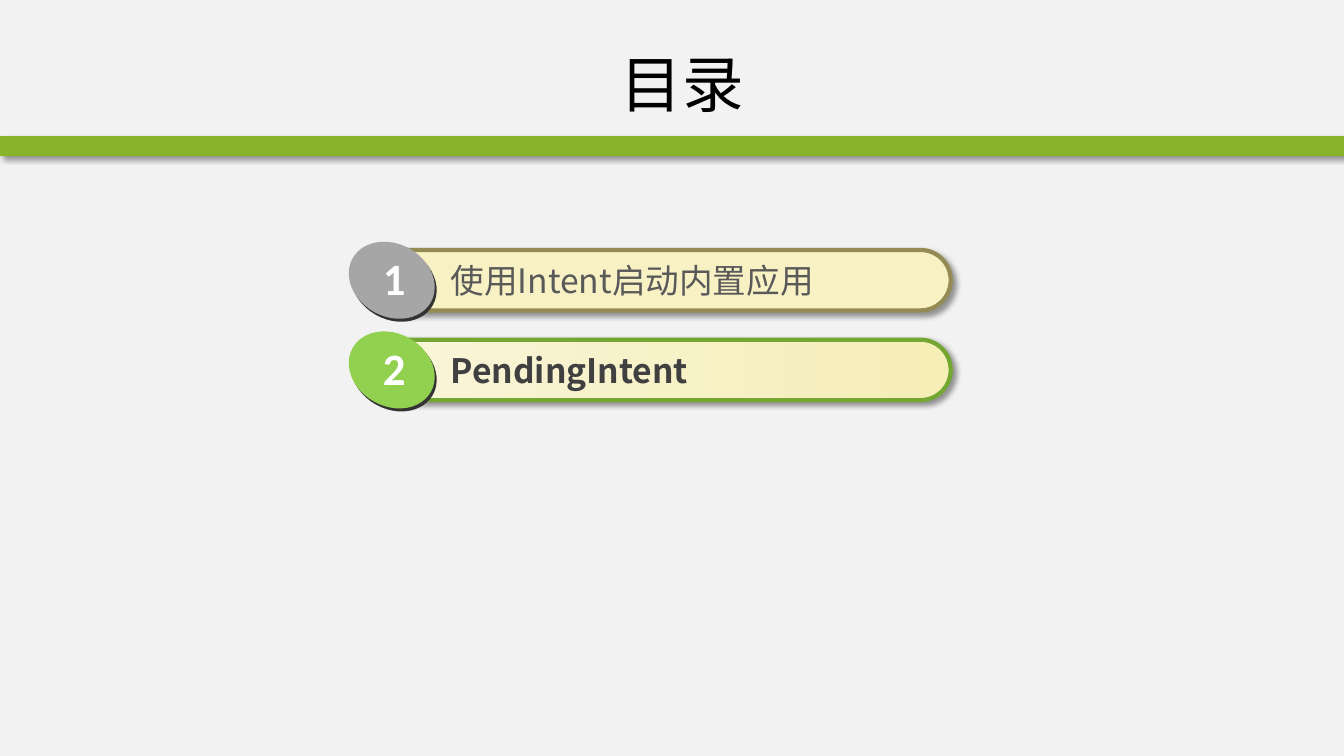
from lxml import etree
from pptx import Presentation
from pptx.dml.color import RGBColor
from pptx.enum.shapes import MSO_SHAPE
from pptx.enum.text import MSO_ANCHOR, MSO_AUTO_SIZE, PP_ALIGN
from pptx.oxml.ns import qn
from pptx.util import Inches, Pt

RECT, PILL, OVAL = MSO_SHAPE.RECTANGLE, MSO_SHAPE.ROUNDED_RECTANGLE, MSO_SHAPE.OVAL
LEFT, CENTER = PP_ALIGN.LEFT, PP_ALIGN.CENTER
TOP, MIDDLE = MSO_ANCHOR.TOP, MSO_ANCHOR.MIDDLE
GROW, FIXED = MSO_AUTO_SIZE.SHAPE_TO_FIT_TEXT, MSO_AUTO_SIZE.NONE

SLIDE_WIDTH, SLIDE_HEIGHT = 13.33, 7.5
HAN_FONT, NUMBER_FONT = "Noto Sans CJK SC", "Calibri"
COLORS = {
    "background": "F2F2F2", "band": "88B429", "title": "000000",
    "shadow": "000000", "badge_edge": "333333", "number": "FFFFFF",
    "past_fill": "F7F1C4", "past_line": "948A54", "past_badge": "A6A6A6", "past_text": "595959",
    "current_start": "F9F5D9", "current_end": "F5EEB7", "current_line": "74A731",
    "current_badge": "92D050", "current_text": "404040",
}
ENTRIES = [("使用Intent启动内置应用", False), ("PendingIntent", True)]
ENTRY_LEFT, ENTRY_TOP, ENTRY_PITCH = 3.44, 2.42, 0.89


def rgb(name):
    """Return the named colour of the palette."""
    return RGBColor.from_string(COLORS[name])


def add_text(slide, text, box, size, color, font=HAN_FONT, bold=False,
             align=LEFT, anchor=TOP, wrap=True, fit=GROW):
    """Place one line of formatted text in a box given in inches."""
    frame = slide.shapes.add_textbox(*map(Inches, box)).text_frame
    frame.word_wrap, frame.auto_size, frame.vertical_anchor = wrap, fit, anchor
    paragraph = frame.paragraphs[0]
    paragraph.alignment = align
    run = paragraph.add_run()
    run.text = text
    run.font.name, run.font.size, run.font.bold = font, Pt(size), bold
    run.font.color.rgb = rgb(color)
    east_asian = etree.SubElement(run.font._element, qn("a:ea"))
    east_asian.set("typeface", font)


def add_figure(slide, kind, box, fills, line=None, shadow=False, rotation=0):
    """Draw a preset shape with a solid or two-colour fill."""
    figure = slide.shapes.add_shape(kind, *map(Inches, box))
    figure.rotation = rotation
    if len(fills) == 1:
        figure.fill.solid()
        figure.fill.fore_color.rgb = rgb(fills[0])
    else:
        figure.fill.gradient()
        figure.fill.gradient_angle = 0
        for stop, color in zip(figure.fill.gradient_stops, fills):
            stop.color.rgb = rgb(color)
    if line:
        figure.line.color.rgb = rgb(line)
        figure.line.width = Pt(3)
    else:
        figure.line.fill.background()
    figure.shadow.inherit = False
    if shadow:
        cast_shadow(figure)
    return figure


def cast_shadow(figure):
    """Give a shape a soft shadow towards the lower right."""
    effects = figure._element.spPr.find(qn("a:effectLst"))
    outer = etree.SubElement(effects, qn("a:outerShdw"), blurRad=str(Pt(4)), dist=str(Pt(3)),
                             dir="2700000", algn="tl", rotWithShape="0")
    tint = etree.SubElement(outer, qn("a:srgbClr"), val=COLORS["shadow"])
    etree.SubElement(tint, qn("a:alpha"), val="40000")


def add_header(slide, title, width, height):
    """Draw the title above the full-width band."""
    add_figure(slide, RECT, (0, 0.18 * height, width, 0.2), ["band"], shadow=True)
    add_text(slide, title, (1.39, 0.04 * height, 10.76, 0.14 * height), 44, "title",
             align=CENTER, anchor=MIDDLE, fit=FIXED)


def add_entry(slide, number, label, current, left, top):
    """Draw one numbered contents entry from its top left corner."""
    state = "current" if current else "past"
    fills = ["current_start", "current_end"] if current else ["past_fill"]
    pill = add_figure(slide, PILL, (left + 0.22, top + 0.06, 5.77, 0.6), fills,
                      line=f"{state}_line", shadow=True)
    pill.adjustments[0] = 0.5
    add_text(slide, label, (left + 0.93, top + 0.11, 4.59, 0.51), 24, f"{state}_text", bold=current)
    for offset, color in ((0.02, "badge_edge"), (0, f"{state}_badge")):
        add_figure(slide, OVAL, (left + offset, top + 1.5 * offset, 0.89, 0.72), [color], rotation=29.3)
    add_text(slide, str(number), (left + 0.26, top + 0.02, 0.43, 0.64), 32, "number",
             font=NUMBER_FONT, bold=True, wrap=False)


def main():
    """Build the contents slide and save it."""
    deck = Presentation()
    deck.slide_width, deck.slide_height = Inches(SLIDE_WIDTH), Inches(SLIDE_HEIGHT)
    slide = deck.slides.add_slide(deck.slide_layouts[6])
    slide.background.fill.solid()
    slide.background.fill.fore_color.rgb = rgb("background")
    add_header(slide, "目录", SLIDE_WIDTH, SLIDE_HEIGHT)
    for row, (label, current) in enumerate(ENTRIES):
        add_entry(slide, row + 1, label, current, ENTRY_LEFT, ENTRY_TOP + row * ENTRY_PITCH)
    deck.save("out.pptx")


if __name__ == "__main__":
    main()
